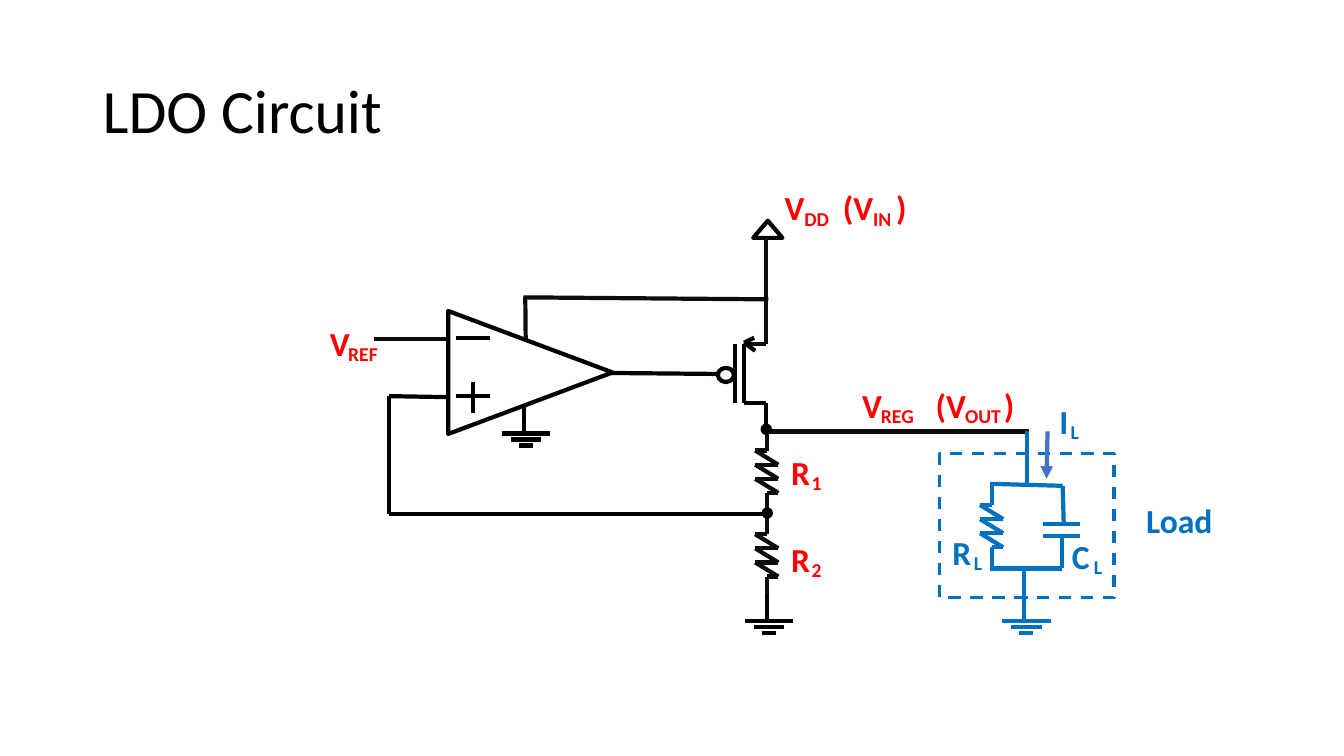
import pptx
import pptx.dml.color
import pptx.enum.dml
import pptx.enum.shapes
import pptx.enum.text
import pptx.oxml
import pptx.oxml.ns
import pptx.util
from pptx.util import Inches

BLACK, DARK, RED, BLUE = "000000", "0D0D0D", "FF0000", "0070C0"
SHAPE = pptx.enum.shapes.MSO_SHAPE


def paint(target, color):
    """Set a solid hex colour on a fill, or on the colour of a line or font."""
    if hasattr(target, "solid"):
        target.solid()
        target = target.fore_color
    else:
        target = target.color
    target.rgb = pptx.dml.color.RGBColor.from_string(color)


def wire(shapes, points, color=BLACK):
    """Draw straight lines through the points and return the last one."""
    for start, end in zip(points, points[1:]):
        line = shapes.add_connector(
            pptx.enum.shapes.MSO_CONNECTOR.STRAIGHT,
            *[Inches(value) for value in start + end])
        paint(line.line, color)
        line.line.width = pptx.util.Pt(3)
        pptx.oxml.ns.qn("a:ln")
        line._element.spPr.append(pptx.oxml.parse_xml(
            "<a:effectLst %s/>" % pptx.oxml.ns.nsdecls("a")))
    return line


def arrow(shapes, points, color):
    """Draw a line with a triangle at its end."""
    line = wire(shapes, points, color)
    line.line._get_or_add_ln().append(pptx.oxml.parse_xml(
        '<a:tailEnd %s type="triangle"/>' % pptx.oxml.ns.nsdecls("a")))


def solid(shapes, kind, box, fill=None, color=BLACK, width=3):
    """Add a preset shape with an outline and an optional fill."""
    shape = shapes.add_shape(kind, *[Inches(value) for value in box])
    shape.shadow.inherit = False
    if fill:
        paint(shape.fill, fill)
    else:
        shape.fill.background()
    paint(shape.line, color)
    shape.line.width = pptx.util.Pt(width)
    return shape


def label(shapes, text, box, color, size=24, bold=True, center=True):
    """Add a text box with one styled line."""
    frame = shapes.add_textbox(*[Inches(value) for value in box]).text_frame
    frame.word_wrap = True
    frame.text = text
    line = frame.paragraphs[0]
    if center:
        line.alignment = pptx.enum.text.PP_ALIGN.CENTER
    font = line.runs[0].font
    font.name, font.size, font.bold = "Calibri", pptx.util.Pt(size), bold
    paint(font, color)
    return frame


def term(shapes, name, sub, x, y, gap, color=RED):
    """Add a letter centred at x with its small suffix centred gap further."""
    group = shapes.add_group_shape().shapes
    label(group, name, (x - 0.41, y, 0.82, 0.5), color)
    label(group, sub, (x + gap - 0.31, y + 0.19, 0.62, 0.34), color, 14)


def ground(shapes, x, top, y, color=BLACK):
    """Draw a stem that ends in three shrinking bars."""
    group = shapes.add_group_shape().shapes
    wire(group, [(x - 0.02, top), (x - 0.02, y)], color)
    for row, half in enumerate((0.24, 0.15, 0.07)):
        level = y + 0.06 * row
        wire(group, [(x - half, level), (x + half, level)], color)


def zigzag(shapes, x, y, color=DARK):
    """Draw an upright resistor with its two leads."""
    left, right = x - 0.12, x + 0.11
    points = [(x, y), (x, y + 0.23)]
    for turn in range(3):
        level = y + 0.23 + 0.14 * turn
        points += [(left, level), (right, level + 0.14)]
    points += [(x, y + 0.65), (x, y + 0.86)]
    wire(shapes.add_group_shape().shapes, points, color)


def supply(shapes):
    """Draw the supply mark, the pass device and its gate."""
    solid(shapes, SHAPE.ISOSCELES_TRIANGLE, (7.47, 2.19, 0.29, 0.17))
    for x in (7.29, 7.38):
        wire(shapes, [(x, 3.41), (x, 4)])
    wire(shapes, [(7.6, 2.36), (7.6, 3.41), (7.38, 3.41)], DARK)
    wire(shapes, [(7.38, 4), (7.6, 4), (7.6, 4.24)])
    wire(shapes, [(7.12, 3.71), (6.04, 3.7)])
    solid(shapes, SHAPE.OVAL, (7.12, 3.65, 0.16, 0.14))
    wire(shapes.add_group_shape().shapes,
         [(7.49, 3.48), (7.38, 3.4), (7.48, 3.35)])


def amp(shapes):
    """Draw the amplifier with its wires and input signs."""
    ground(shapes, 5.22, 4.04, 4.3)
    wire(shapes, [(5.22, 3.99), (5.21, 2.95)], DARK)
    wire(shapes, [(5.19, 2.95), (7.62, 2.97)], DARK)
    wire(shapes, [(3.71, 3.36), (4.5, 3.36)], DARK)
    group = shapes.add_group_shape().shapes
    body = solid(group, SHAPE.ISOSCELES_TRIANGLE,
                 (4.65, 2.88, 1.22, 1.63), "FFFFFF")
    body.rotation = 90
    for y in (3.35, 3.93):
        wire(group, [(4.52, y), (4.86, y)])
    wire(group, [(4.69, 3.79), (4.69, 4.1)])


def load(shapes):
    """Draw the load with its frame, ground and current arrow."""
    ground(shapes, 10.18, 5.64, 6.16, BLUE)
    zigzag(shapes, 9.84, 4.78, BLUE)
    wire(shapes, [(10.19, 4.28), (10.19, 4.82)], BLUE)
    wire(shapes, [(9.83, 4.8), (10.54, 4.82), (10.55, 5.19)], BLUE)
    for y in (5.2, 5.32):
        wire(shapes, [(10.34, y), (10.71, y)], BLUE)
    wire(shapes, [(10.53, 5.32), (10.53, 5.64), (9.82, 5.64)], BLUE)
    term(shapes, "R", "L", 9.54, 5.23, 0.16, BLUE)
    term(shapes, "C", "L", 10.72, 5.27, 0.17, BLUE)
    frame = solid(shapes, SHAPE.RECTANGLE, (9.32, 4.5, 1.73, 1.43),
                  color=BLUE, width=2.25)
    frame.line.dash_style = pptx.enum.dml.MSO_LINE.DASH
    label(shapes, "Load", (11.27, 4.91, 1, 0.5), BLUE, center=False)
    arrow(shapes, [(10.39, 4.28), (10.38, 4.75)], "4472C4")
    term(shapes, "I", "L", 10.55, 3.93, 0.11, BLUE)


def main():
    """Build the circuit slide and save it."""
    deck = pptx.Presentation()
    deck.slide_width, deck.slide_height = Inches(13.33), Inches(7.5)
    shapes = deck.slides.add_slide(deck.slide_layouts[6]).shapes

    title = label(shapes, "LDO Circuit", (0.92, 0.4, 11.5, 1.45), BLACK,
                  44, False, False)
    title.vertical_anchor = pptx.enum.text.MSO_ANCHOR.MIDDLE
    title.paragraphs[0].line_spacing = 0.9

    supply(shapes)
    for y in (4.24, 5.07):
        zigzag(shapes, 7.61, y)
    ground(shapes, 7.63, 5.89, 6.16)
    wire(shapes, [(7.61, 5.1), (3.86, 5.1), (3.86, 3.93), (4.44, 3.94)])
    amp(shapes)
    wire(shapes, [(7.6, 4.28), (10.21, 4.28)], DARK)

    for name, sub, x, y, gap in (
            ("V", "REF", 3.37, 3.15, 0.23),
            ("V", "DD", 7.88, 1.81, 0.22), ("(V", "IN", 8.51, 1.81, 0.24),
            ("V", "REG", 8.65, 3.77, 0.25), ("(V", "OUT", 9.43, 3.77, 0.32),
            ("R", "1", 7.94, 4.43, 0.16), ("R", "2", 7.94, 5.3, 0.16)):
        term(shapes, name, sub, x, y, gap)
    for x, y in ((8.94, 1.81), (10.01, 3.77)):
        label(shapes, ")", (x - 0.2, y, 0.4, 0.5), RED)

    load(shapes)
    for x, y in ((7.55, 4.21), (7.56, 5.04)):
        solid(shapes, SHAPE.OVAL, (x, y, 0.1, 0.1), BLACK, width=1)
    deck.save("out.pptx")


if __name__ == "__main__":
    main()
